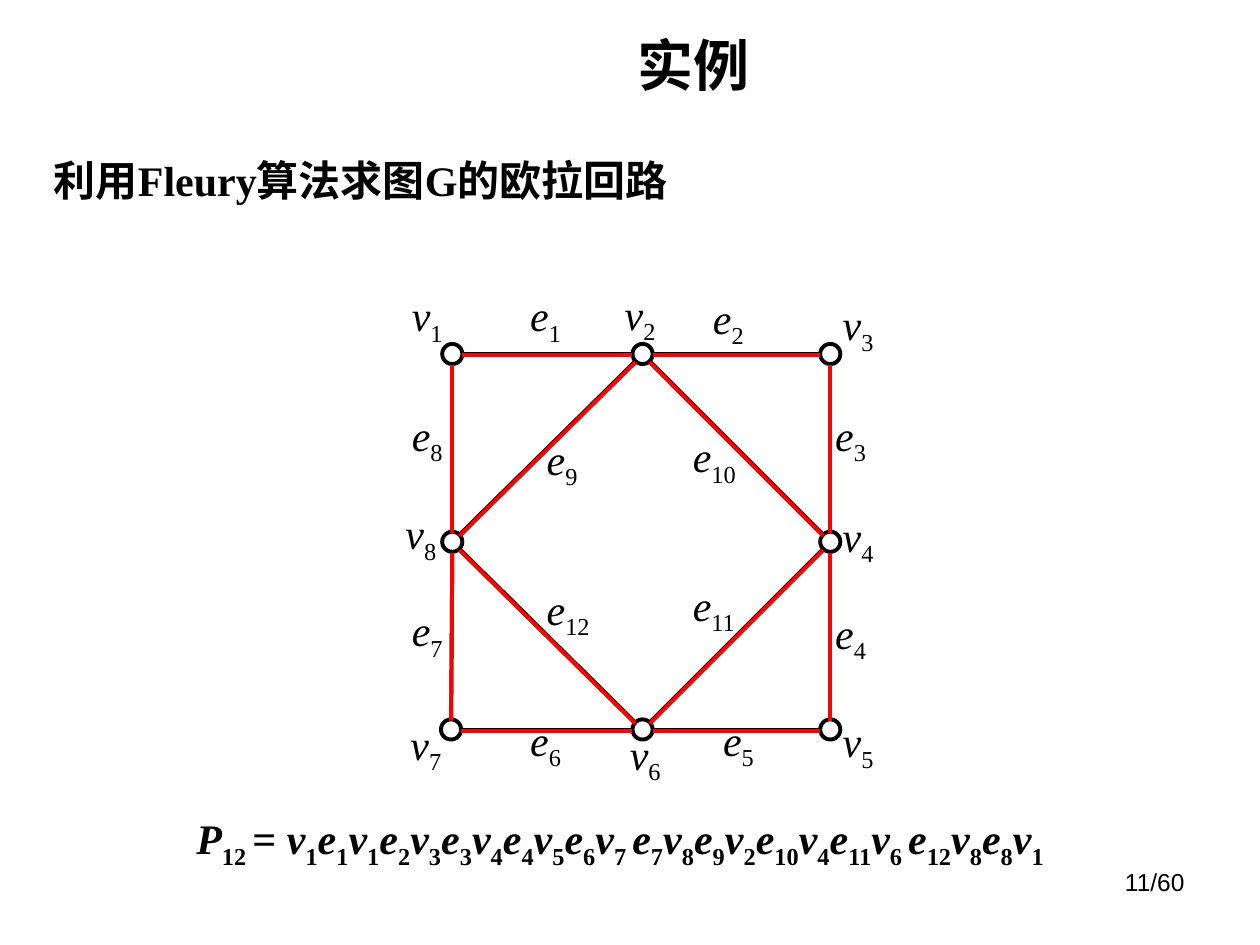
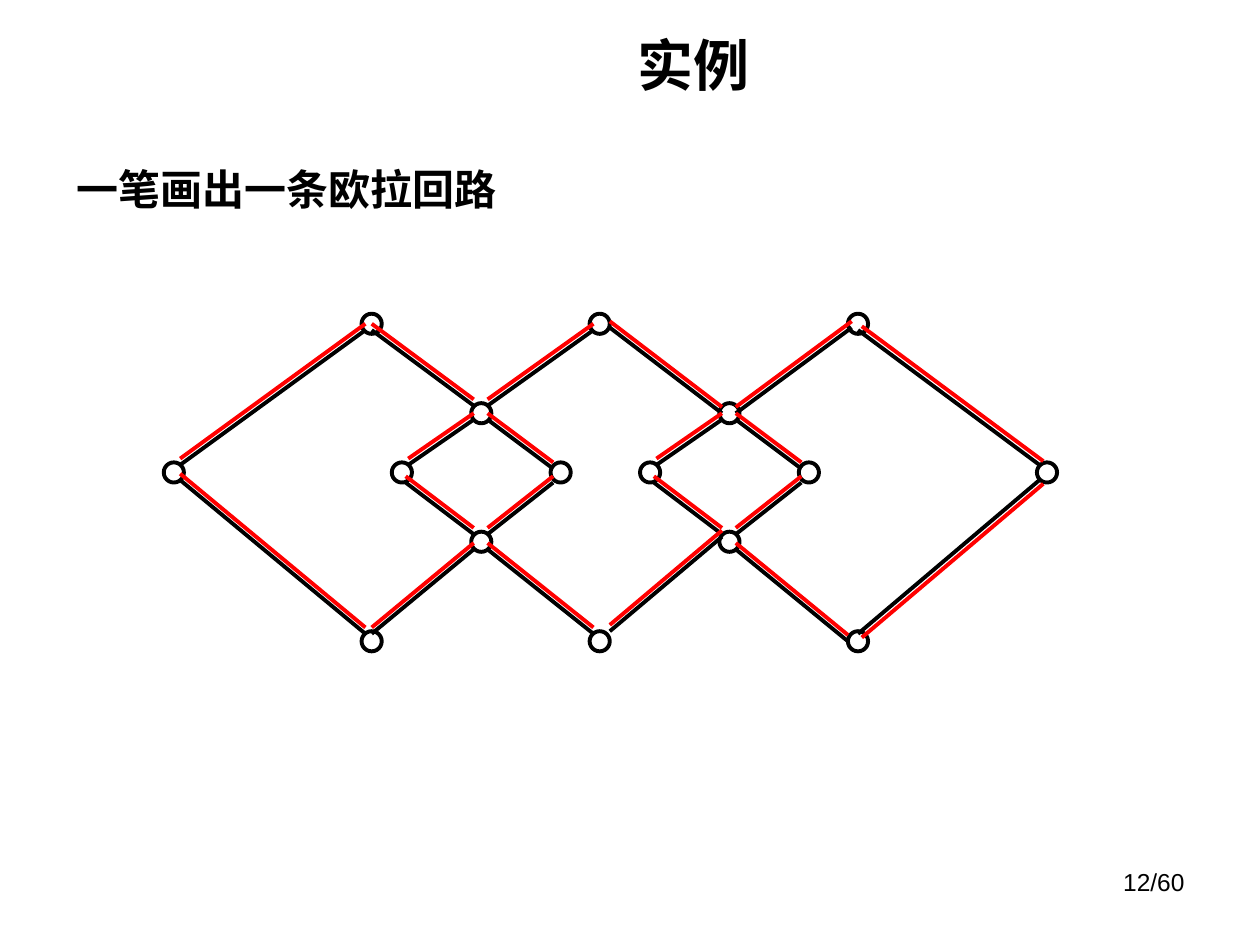
from dataclasses import dataclass
from math import hypot

from lxml import etree
from pptx import Presentation
from pptx.dml.color import RGBColor
from pptx.enum.lang import MSO_LANGUAGE_ID as Language
from pptx.enum.shapes import MSO_CONNECTOR as Connector, MSO_SHAPE as Shape
from pptx.enum.text import MSO_ANCHOR as Anchor, MSO_AUTO_SIZE as AutoSize, PP_ALIGN as Align
from pptx.oxml.ns import qn
from pptx.util import Emu, Pt

EMU_PER_PX = 9144  # 100 px to the inch
RADIUS = 8
PAGE_COUNT = 60
TITLE_ONLY = 5


@dataclass(frozen=True)
class Theme:
    ink: RGBColor = RGBColor(0, 0, 0)
    trail: RGBColor = RGBColor(255, 0, 0)
    serif: str = "Times New Roman"
    sans: str = "Arial"
    title_size: int = 32
    text_size: int = 24
    page_size: int = 14
    line_width: float = 2.25


def px(length):
    return Emu(round(length * EMU_PER_PX))


class Deck:
    """Holds the theme and the slide being drawn."""

    def __init__(self, theme):
        self.theme = theme
        self.presentation = Presentation()
        self.presentation.slide_width = px(1000)
        self.presentation.slide_height = px(750)
        self.slide = None

    def start_slide(self, title, page):
        layout = self.presentation.slide_layouts[TITLE_ONLY]
        self.slide = self.presentation.slides.add_slide(layout)
        shape = self.slide.shapes.title
        shape.left, shape.top, shape.width, shape.height = map(px, (216, 28, 669, 46))
        frame = shape.text_frame
        frame.auto_size = AutoSize.NONE
        frame.vertical_anchor = Anchor.MIDDLE
        paragraph = frame.paragraphs[0]
        paragraph.alignment = Align.CENTER
        self.run(paragraph, title, size=self.theme.title_size, bold=True)

        number = self.text_box(717, 683, 233, 52)
        number.alignment = Align.RIGHT
        self.run(number, f"{page}/{PAGE_COUNT}", size=self.theme.page_size, font=self.theme.sans)

    def text_box(self, left, top, width, height, wrap=True):
        """Add an empty text box and return its first paragraph."""
        box = self.slide.shapes.add_textbox(*map(px, (left, top, width, height)))
        box.text_frame.word_wrap = wrap
        return box.text_frame.paragraphs[0]

    def run(self, paragraph, text, size=None, font=None, bold=False, italic=False, subscript=False):
        run = paragraph.add_run()
        run.text = text
        run.font.size = Pt(size or self.theme.text_size)
        run.font.name = font or self.theme.serif
        run.font.bold = bold
        run.font.italic = italic
        run.font.color.rgb = self.theme.ink
        run.font.language_id = Language.SIMPLIFIED_CHINESE
        if subscript:
            run._r.get_or_add_rPr().set("baseline", "-25000")

    def heading(self, text, left, top, width):
        self.run(self.text_box(left, top, width, 51), text, bold=True)

    def symbol(self, paragraph, name, bold=False):
        """Write a name such as e10 as an italic letter and its subscript."""
        self.run(paragraph, name[0], bold=bold, italic=True)
        self.run(paragraph, name[1:], bold=bold, subscript=True)

    def label(self, name, left, top):
        width = 46 if len(name) == 2 else 58
        self.symbol(self.text_box(left, top, width, 50, wrap=False), name)

    def node(self, x, y):
        circle = self.slide.shapes.add_shape(
            Shape.OVAL, px(x - RADIUS), px(y - RADIUS), px(2 * RADIUS), px(2 * RADIUS))
        circle.shadow.inherit = False
        circle.fill.background()
        circle.line.color.rgb = self.theme.ink
        circle.line.width = Pt(self.theme.line_width)

    def line(self, start, end, color, shift=(0, 0)):
        dx, dy = shift
        ends = (start[0] + dx, start[1] + dy, end[0] + dx, end[1] + dy)
        connector = self.slide.shapes.add_connector(Connector.STRAIGHT, *map(px, ends))
        connector.line.color.rgb = color
        connector.line.width = Pt(self.theme.line_width)
        etree.SubElement(connector._element.spPr, qn("a:effectLst"))


def trimmed(start, end):
    """Shorten the line between two node centres to the rims of the nodes."""
    dx, dy = end[0] - start[0], end[1] - start[1]
    part = RADIUS / hypot(dx, dy)
    return ((start[0] + dx * part, start[1] + dy * part),
            (end[0] - dx * part, end[1] - dy * part))


GRAPH_NODES = {
    "v1": (359, 281), "v2": (510, 281), "v3": (659, 281), "v4": (659, 430),
    "v5": (659, 579), "v6": (510, 579), "v7": (358, 579), "v8": (359, 430),
}
OUTER_RING = list(GRAPH_NODES)
INNER_RING = OUTER_RING[1::2]
GRAPH_LABELS = {
    "e1": (411, 225), "e2": (556, 227), "e3": (653, 320), "e4": (653, 477),
    "e5": (564, 562), "e6": (411, 562), "e7": (317, 475), "e8": (317, 320),
    "e9": (424, 339), "e10": (540, 337), "e11": (540, 455), "e12": (424, 458),
    "v1": (317, 225), "v2": (486, 224), "v3": (659, 232), "v4": (659, 400),
    "v5": (659, 563), "v6": (490, 573), "v7": (316, 565), "v8": (312, 398),
}
CIRCUIT = ("v1,e1,v1,e2,v3,e3,v4,e4,v5,e6,v7 ,e7,v8,e9,v2,e10,"
           "v4,e11,v6 ,e12,v8,e8,v1")


def draw_fleury_slide(deck):
    deck.start_slide("实例", 11)
    deck.heading("利用Fleury算法求图G的欧拉回路", 33, 118, 853)

    edges = [trimmed(GRAPH_NODES[a], GRAPH_NODES[b])
             for ring in (OUTER_RING, INNER_RING)
             for a, b in zip(ring, ring[1:] + ring[:1])]
    for start, end in edges:
        deck.line(start, end, deck.theme.ink)
    for center in GRAPH_NODES.values():
        deck.node(*center)
    for start, end in edges:
        deck.line(start, end, deck.theme.trail, shift=(0, 1))
    for name, corner in GRAPH_LABELS.items():
        deck.label(name, *corner)

    formula = deck.text_box(146, 640, 788, 50)
    deck.symbol(formula, "P12 ", bold=True)
    deck.run(formula, "= ", bold=True)
    for name in CIRCUIT.split(","):
        deck.symbol(formula, name, bold=True)


NODE_ROWS = {
    257: (295, 476, 681),
    328: (382, 579),
    375: (138, 319, 445, 516, 642, 831),
    430: (382, 579),
    509: (295, 476, 681),
}
OUTER_STROKES = [
    ((290, 262), (143, 369)), ((143, 381), (290, 503)),
    ((295, 262), (376, 322)), ((376, 436), (295, 503)),
    ((471, 262), (387, 322)), ((387, 436), (471, 503)),
    ((484, 260), (573, 328)), ((573, 426), (484, 501)),
    ((676, 260), (584, 328)), ((584, 436), (673, 509)),
]
RIGHT_STROKES = {
    ((681, 262), (825, 369)): (3, -3),
    ((825, 381), (681, 503)): (3, 3),
}
DIAMOND_STROKES = [
    ((376, 333), (324, 369)), ((387, 333), (439, 372)),
    ((322, 383), (376, 424)), ((439, 383), (387, 424)),
]
DIAMOND_STEP = 197
ABOVE = (0, -5)


def draw_one_stroke_slide(deck):
    deck.start_slide("实例", 12)
    deck.heading("一笔画出一条欧拉回路", 51, 125, 465)

    diamonds = [((x1 + step, y1), (x2 + step, y2))
                for step in (0, DIAMOND_STEP)
                for (x1, y1), (x2, y2) in DIAMOND_STROKES]
    shifts = {stroke: ABOVE for stroke in OUTER_STROKES + diamonds} | RIGHT_STROKES
    for start, end in shifts:
        deck.line(start, end, deck.theme.ink)
    for y, columns in NODE_ROWS.items():
        for x in columns:
            deck.node(x, y)
    for (start, end), shift in shifts.items():
        deck.line(start, end, deck.theme.trail, shift)


def main():
    deck = Deck(Theme())
    draw_fleury_slide(deck)
    draw_one_stroke_slide(deck)
    deck.presentation.save("out.pptx")


if __name__ == "__main__":
    main()
